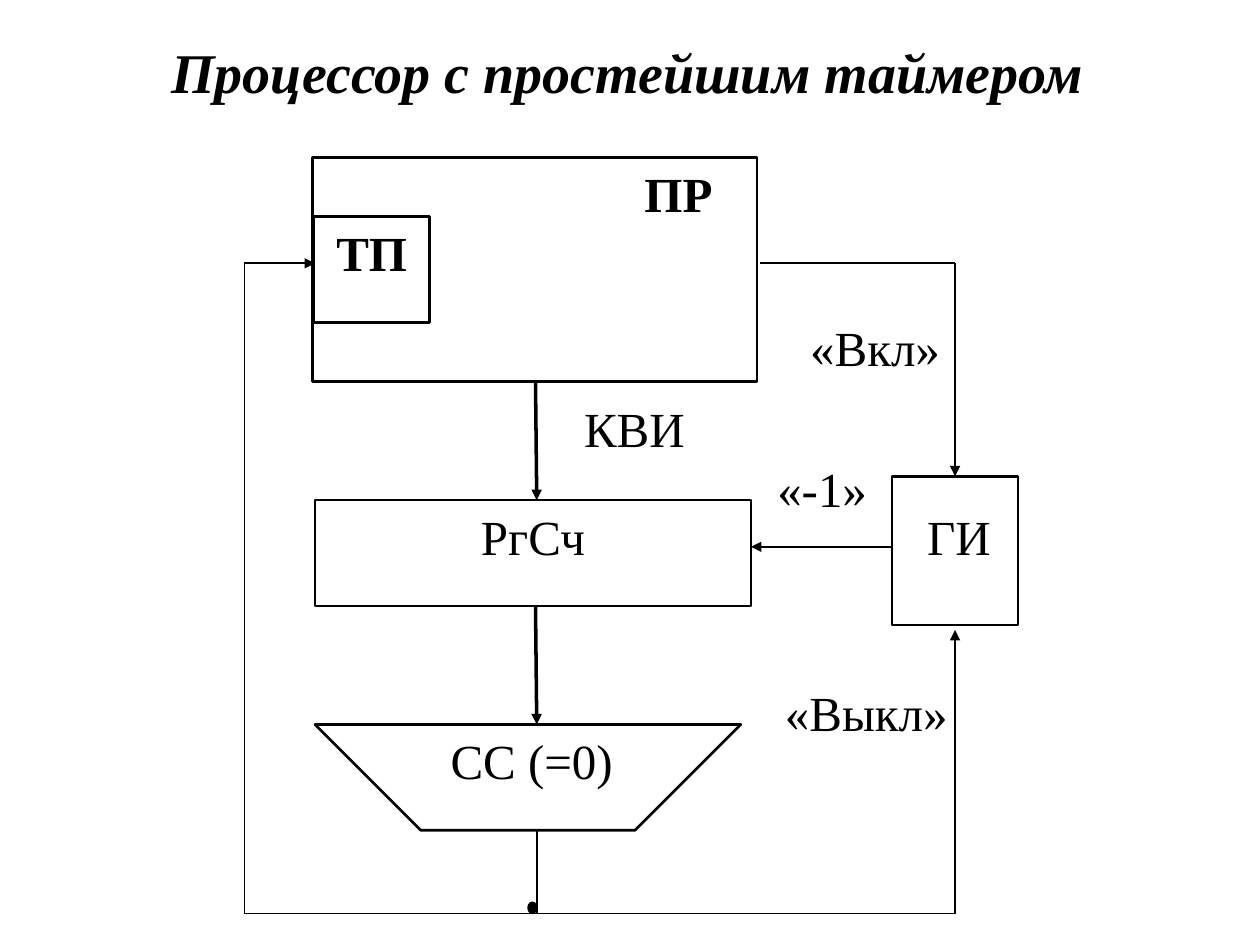
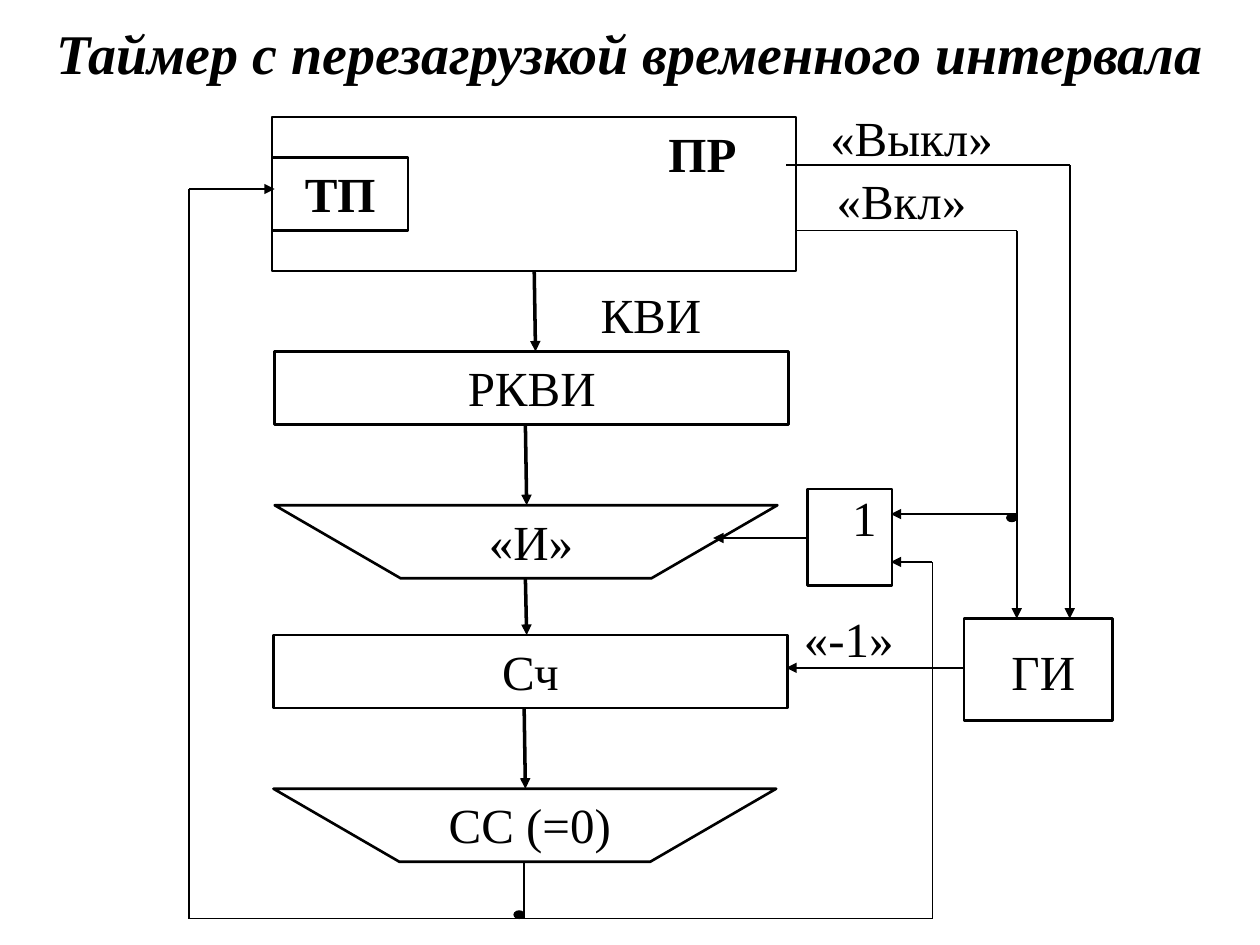
from itertools import pairwise

from lxml.etree import SubElement
from pptx import Presentation
from pptx.dml.color import RGBColor
from pptx.enum.shapes import MSO_CONNECTOR, MSO_SHAPE
from pptx.enum.text import MSO_ANCHOR, PP_ALIGN
from pptx.oxml.ns import qn
from pptx.util import Pt

SCALE = 9144


def px(n):
    return int(n * SCALE)


def color(value):
    return RGBColor.from_string(value)


class Diagram:
    ink = "000000"
    paper = "FFFFFF"
    text_format = {"name": "Times New Roman", "size": Pt(28), "bold": False, "italic": False}
    title_format = {"size": Pt(32), "bold": True, "italic": True}
    frame_format = {
        "word_wrap": True,
        "margin_left": px(10),
        "margin_right": px(10),
        "margin_top": px(5),
        "margin_bottom": px(5),
    }

    def __init__(self, prs):
        self.prs = prs
        self.s = None

    def slide(self, title, *at, anchor=MSO_ANCHOR.TOP):
        self.s = self.prs.slides.add_slide(self.prs.slide_layouts[6])
        fill = self.s.background.fill
        fill.solid()
        fill.fore_color.rgb = color(self.paper)
        self.label(title, *at, anchor=anchor, **self.title_format)

    def put_text(self, tf, text, anchor=MSO_ANCHOR.TOP, **changes):
        for name, value in {**self.frame_format, "vertical_anchor": anchor}.items():
            setattr(tf, name, value)
        p = tf.paragraphs[0]
        p.alignment = PP_ALIGN.CENTER
        r = p.add_run()
        r.text = text
        for name, value in {**self.text_format, **changes}.items():
            setattr(r.font, name, value)
        r.font.color.rgb = color(self.ink)

    def label(self, text, *at, **changes):
        sp = self.s.shapes.add_textbox(*map(px, at))
        self.put_text(sp.text_frame, text, **changes)

    def outline(self, sp, fill=None, width=1.5):
        sp.shadow.inherit = False
        if fill:
            sp.fill.solid()
            sp.fill.fore_color.rgb = color(fill)
        else:
            sp.fill.background()
        sp.line.color.rgb = color(self.ink)
        sp.line.width = Pt(width)

    def box(self, *at, text="", **changes):
        sp = self.s.shapes.add_shape(MSO_SHAPE.RECTANGLE, *map(px, at))
        self.outline(sp)
        if text:
            self.put_text(sp.text_frame, text, **changes)

    def trapezoid(self, text, x, y, w, h):
        inset = round(w / 4)
        corners = [(x + inset, y + h), (x + w - inset, y + h), (x + w, y)]
        builder = self.s.shapes.build_freeform(px(x), px(y))
        builder.add_line_segments([(px(a), px(b)) for a, b in corners], close=True)
        self.outline(builder.convert_to_shape(), self.paper)
        self.label(text, x + inset, y, round(w * 0.52), h - 7)

    def dot(self, *at):
        sp = self.s.shapes.add_shape(MSO_SHAPE.OVAL, *map(px, at))
        self.outline(sp, self.ink, 0.75)

    def wire(self, *points, arrow=True, width=1):
        for start, end in pairwise(points):
            line = self.s.shapes.add_connector(MSO_CONNECTOR.STRAIGHT, *map(px, start + end))
            line.line.color.rgb = color(self.ink)
            line.line.width = Pt(width)
            props = line.element.spPr
            if arrow and end == points[-1]:
                SubElement(props.find(qn("a:ln")), qn("a:tailEnd"), type="triangle")
            SubElement(props, qn("a:effectLst"))

    def bus(self, x, top, bottom):
        self.wire((x - 1, top), (x, bottom), width=2)


def simple_timer(d):
    d.slide("Процессор с простейшим таймером", 12, 25, 972, 64)
    d.box(248, 125, 353, 178)
    d.box(249, 172, 92, 84, text="ТП", bold=True)
    d.label("ПР", 475, 125, 127, 103, bold=True)
    d.box(250, 397, 346, 84, text="РгСч")
    d.box(708, 378, 100, 118)
    d.label("ГИ", 715, 397, 92, 76)
    d.trapezoid("СС (=0)", 250, 575, 338, 84)

    d.label("КВИ", 440, 311, 127, 76)
    d.label("«-1»", 589, 359, 127, 76)
    d.label("«Вкл»", 617, 247, 155, 85)
    d.label("«Выкл»", 610, 537, 155, 85)

    for top, bottom in [(303, 397), (481, 575)]:
        d.bus(426, top, bottom)
    d.wire((603, 209), (758, 209), (758, 378))
    d.wire((708, 434), (596, 434))
    d.wire((426, 659), (426, 725), arrow=False)
    d.wire((419, 725), (758, 725), (758, 500))
    d.wire((419, 725), (194, 725), (194, 209), (250, 209))
    d.dot(419, 716, 7, 9)


def reloading_timer(d):
    d.slide("Таймер с перезагрузкой временного интервала", 25, 7, 950, 68,
            anchor=MSO_ANCHOR.MIDDLE)
    d.box(216, 93, 416, 122)
    d.box(216, 125, 108, 58, text="ТП", bold=True)
    d.label("ПР", 483, 93, 149, 71, bold=True)
    d.box(218, 279, 408, 58, text="РКВИ")
    d.trapezoid("«И»", 218, 401, 399, 58)
    d.box(217, 504, 408, 58, text="Сч")
    d.trapezoid("СС (=0)", 217, 626, 399, 58)
    d.box(765, 491, 118, 81)
    d.label("ГИ", 774, 504, 108, 52)
    d.box(641, 388, 67, 77)
    d.label("1", 632, 382, 108, 52)

    d.label("КВИ", 442, 221, 149, 52)
    d.label("«-1»", 599, 478, 149, 52)
    d.label("«Выкл»", 632, 80, 183, 59)
    d.label("«Вкл»", 624, 130, 183, 59)

    for x, top, bottom in [(425, 215, 279), (418, 337, 401), (418, 459, 504), (417, 562, 626)]:
        d.bus(x, top, bottom)
    d.wire((632, 183), (807, 183), (807, 491))
    d.wire((624, 131), (849, 131), (849, 491))
    d.wire((765, 530), (624, 530))
    d.wire((641, 427), (566, 427))
    d.wire((807, 408), (707, 408))
    d.wire((416, 684), (416, 729), arrow=False)
    d.wire((416, 729), (740, 729), (740, 446), (707, 446))
    d.wire((416, 729), (150, 729), (150, 150), (218, 150))
    for x, y in [(408, 723), (799, 408)]:
        d.dot(x, y, 8, 6)


def main():
    prs = Presentation()
    prs.slide_width, prs.slide_height = px(1000), px(750)
    d = Diagram(prs)
    simple_timer(d)
    reloading_timer(d)
    prs.save("out.pptx")


if __name__ == "__main__":
    main()
